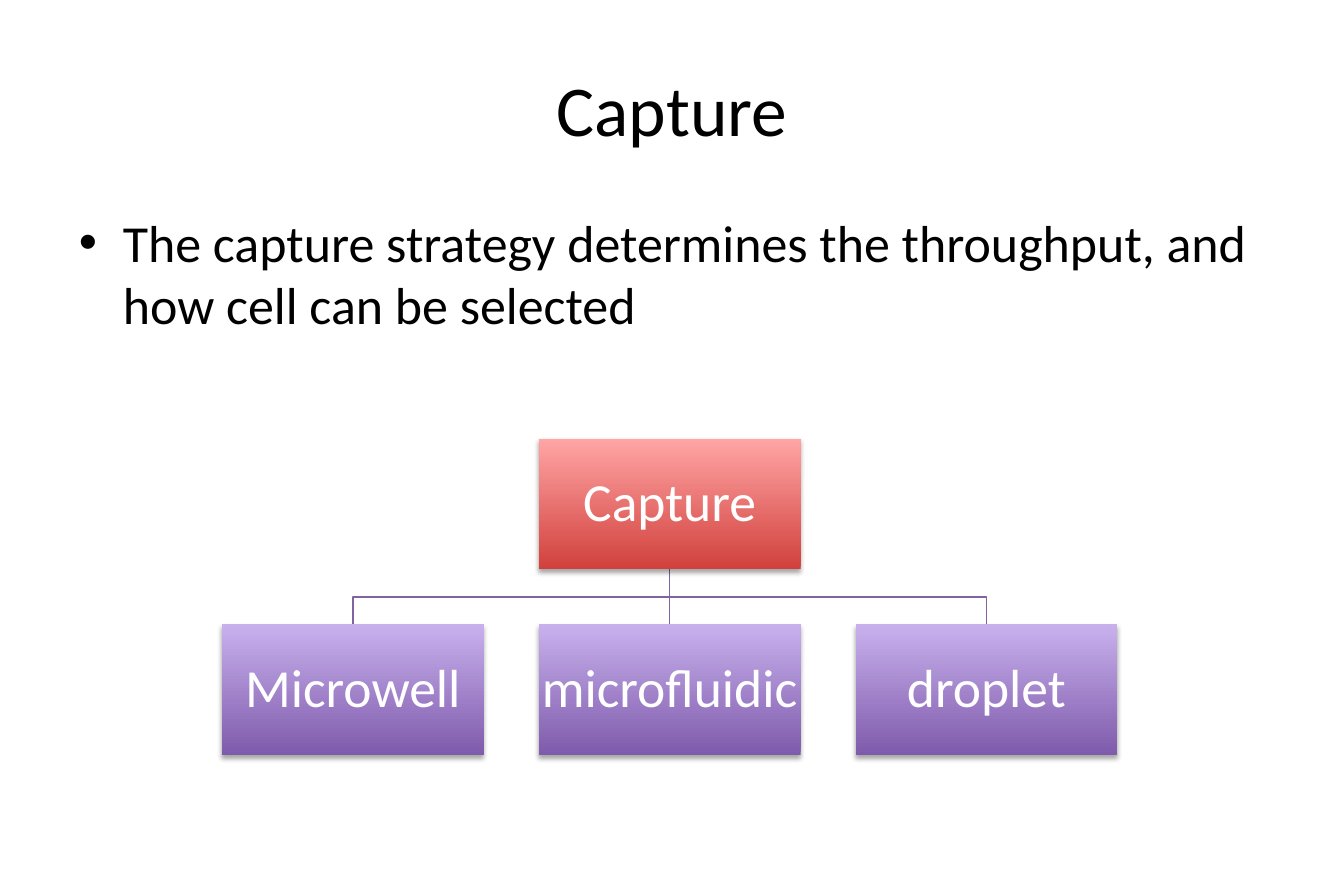
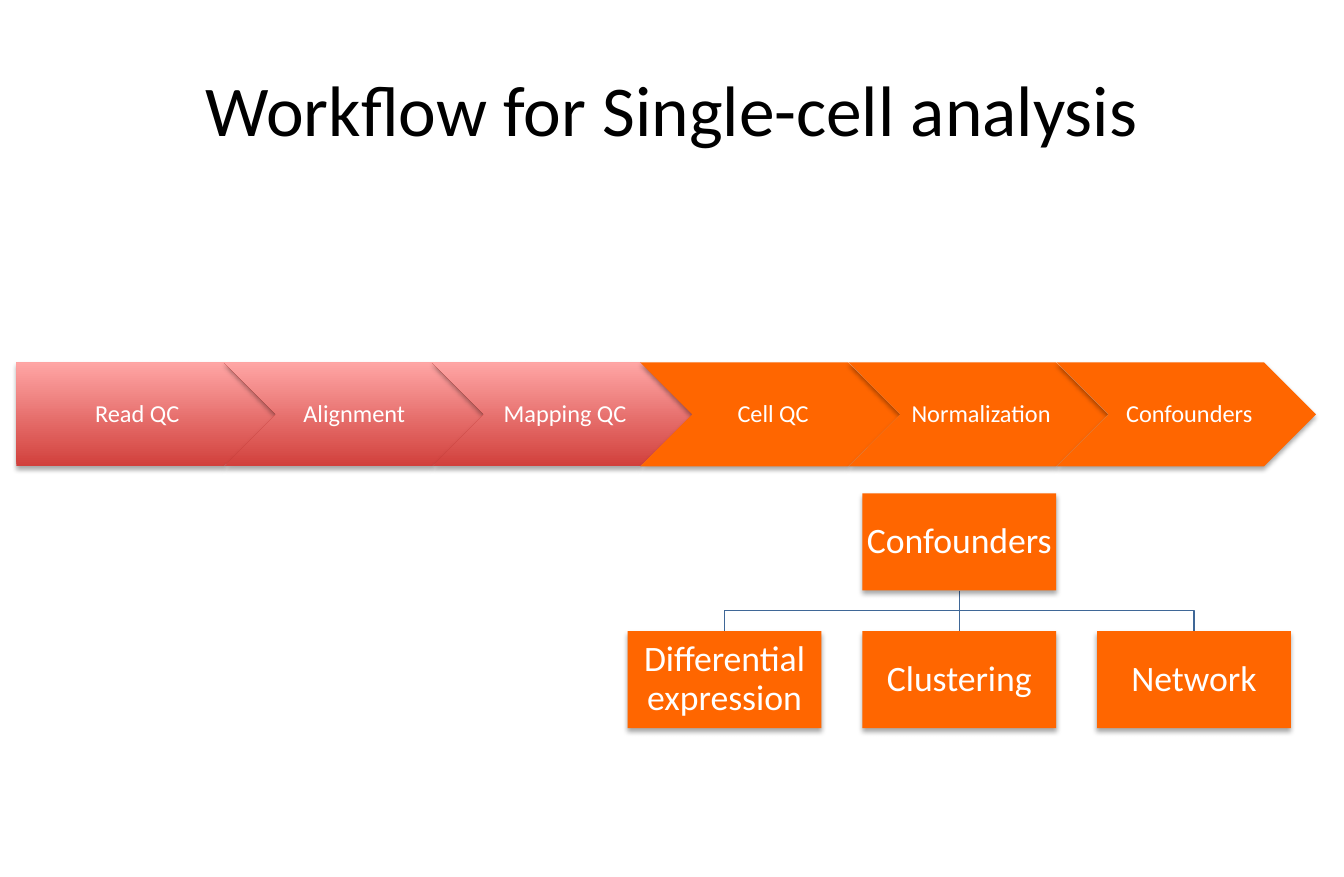
from lxml.etree import SubElement
from pptx import Presentation
from pptx.dml.color import RGBColor
from pptx.enum.shapes import MSO_CONNECTOR as Link, MSO_SHAPE as Preset
from pptx.enum.text import MSO_ANCHOR as Anchor, PP_ALIGN as Align
from pptx.oxml.ns import qn
from pptx.util import Inches, Pt

WIDTH, HEIGHT = 11.5, 7.5
MARGIN, CONTENT = 0.05 * WIDTH, 0.9 * WIDTH
TITLE_AREA = (MARGIN, 0.04 * HEIGHT, CONTENT, HEIGHT / 6)
BODY_AREA = (MARGIN, 1.75, CONTENT, 0.66 * HEIGHT)
FONT = "Calibri"
BLACK = RGBColor(0x00, 0x00, 0x00)
WHITE = RGBColor(0xFF, 0xFF, 0xFF)
ORANGE = RGBColor(0xFF, 0x66, 0x00)
PURPLE_LINE = RGBColor(0x80, 0x64, 0xA2)
BLUE_LINE = RGBColor(0x3F, 0x67, 0x97)
RED_FADE = (RGBColor(0xD1, 0x40, 0x3C), RGBColor(0xFF, 0xA6, 0xA5))
PURPLE_FADE = (RGBColor(0x7F, 0x5B, 0xAB), RGBColor(0xC8, 0xB0, 0xED))
ORANGE_FADE = (ORANGE, ORANGE)
TREE_GAP = 0.21
CHEVRON_STEP = 1.78


def style_font(font, size, color):
    """Apply the deck's font in one size and colour."""
    font.name, font.size = FONT, Pt(size)
    font.color.rgb = color


def fill_placeholder(holder, area, text, size):
    """Move a placeholder and set its text."""
    holder.left, holder.top, holder.width, holder.height = map(Inches, area)
    holder.text_frame.text = text
    style_font(holder.text_frame.paragraphs[0].font, size, BLACK)


def add_page(deck, layout_name, title):
    """Add a titled page."""
    page = deck.slides.add_slide(deck.slide_layouts.get_by_name(layout_name))
    fill_placeholder(page.shapes.title, TITLE_AREA, title, 44)
    return page


def paint(shape, fade):
    """Fill a shape from dark at the bottom to light at the top."""
    if fade[0] == fade[1]:
        shape.fill.solid()
        shape.fill.fore_color.rgb = fade[0]
        return
    shape.fill.gradient()
    shape.fill.gradient_angle = 90
    for stop, color in zip(shape.fill.gradient_stops, fade):
        stop.color.rgb = color


def cast_shadow(shape):
    """Give a shape a soft shadow below."""
    shape.shadow.inherit = False
    effects = shape._element.spPr.find(qn("a:effectLst"))
    shadow = SubElement(effects, qn("a:outerShdw"), blurRad=str(Pt(3.1)),
                        dist=str(Pt(1.8)), dir="5400000", rotWithShape="0")
    color = SubElement(shadow, qn("a:srgbClr"), val=str(BLACK))
    SubElement(color, qn("a:alpha"), val="35000")


def add_box(page, preset, area, text, size, fade, insets):
    """Add a shaded preset shape with a centred label."""
    box = page.shapes.add_shape(preset, *map(Inches, area))
    paint(box, fade)
    box.line.fill.background()
    cast_shadow(box)
    frame = box.text_frame
    frame.word_wrap = True
    frame.vertical_anchor = Anchor.MIDDLE
    (frame.margin_left, frame.margin_top,
     frame.margin_right, frame.margin_bottom) = map(Inches, insets)
    frame.text = text
    para = frame.paragraphs[0]
    para.alignment, para.line_spacing = Align.CENTER, 0.9
    style_font(para.font, size, WHITE)


def add_branch(page, start, end, color):
    """Join a parent to a child, straight down or with two right angles."""
    (x, y), (child_x, child_y) = (map(Inches, point) for point in (start, end))
    if abs(child_x - x) < Pt(1):
        branch = page.shapes.add_connector(Link.STRAIGHT, x, y, x, child_y)
        SubElement(branch._element.spPr, qn("a:effectLst"))
    else:
        bend = (y + child_y) // 2
        outline = page.shapes.build_freeform(x, y)
        outline.add_line_segments([(x, bend), (child_x, bend), (child_x, child_y)],
                                  close=False)
        branch = outline.convert_to_shape()
        branch.fill.background()
        branch.shadow.inherit = False
    branch.line.color.rgb = color
    branch.line.width = Pt(0.75)


def add_tree(page, left, top, width, root, children, size, fades, color):
    """Draw a root box joined to a row of child boxes."""
    height, gap = width / 2, TREE_GAP * width
    lefts = [left + column * (width + gap) for column in range(len(children))]
    root_left = (lefts[0] + lefts[-1]) / 2
    child_top = top + height + gap
    for x in reversed(lefts):
        add_branch(page, (root_left + width / 2, top + height),
                   (x + width / 2, child_top), color)
    boxes = [(root, root_left, top, fades[0])]
    boxes += [(text, x, child_top, fades[1]) for text, x in zip(children, lefts)]
    for text, x, y, fade in boxes:
        add_box(page, Preset.RECTANGLE, (x, y, width, height), text, size, fade,
                (0.02, 0.02, 0.02, 0.02))


def add_process(page, left, top, width, steps):
    """Draw a row of interlocking arrows."""
    for column, (text, fade) in enumerate(steps):
        preset, inset = (Preset.CHEVRON, 0.07) if column else (Preset.PENTAGON, 0.09)
        area = (left + column * CHEVRON_STEP, top, width, 0.4 * width)
        add_box(page, preset, area, text, 15, fade, (inset, 0.04, 0.02, 0.04))


def main():
    """Build and save the deck."""
    deck = Presentation()
    deck.slide_width, deck.slide_height = Inches(WIDTH), Inches(HEIGHT)

    capture = add_page(deck, "Title and Content", "Capture")
    fill_placeholder(
        capture.placeholders[1], BODY_AREA,
        "The capture strategy determines the throughput, and how cell can be selected", 32)
    add_tree(capture, 1.9, 3.75, 2.24, "Capture", ("Microwell", "microfluidic", "droplet"),
             33, (RED_FADE, PURPLE_FADE), PURPLE_LINE)

    workflow = add_page(deck, "Title Only", "Workflow for Single-cell analysis")
    steps = [(text, RED_FADE) for text in ("Read QC", "Alignment ", "Mapping QC")]
    steps += [(text, ORANGE_FADE) for text in ("Cell QC", "Normalization", "Confounders")]
    add_process(workflow, 0.14, 3.1, 2.22, steps)
    add_tree(workflow, 5.37, 4.22, 1.66, "Confounders",
             ("Differential expression", "Clustering", "Network"),
             22, (ORANGE_FADE, ORANGE_FADE), BLUE_LINE)

    deck.save("out.pptx")


if __name__ == "__main__":
    main()
